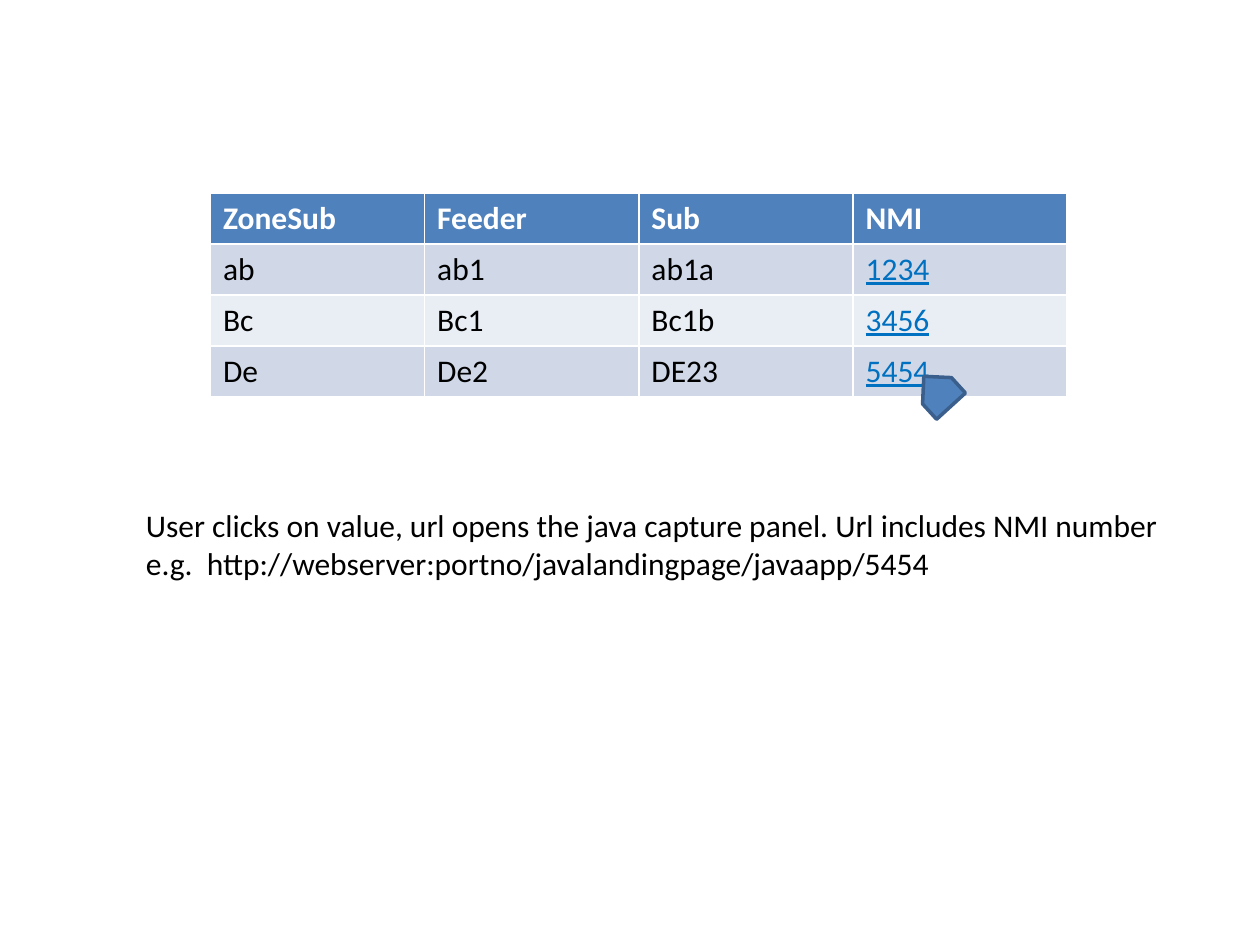
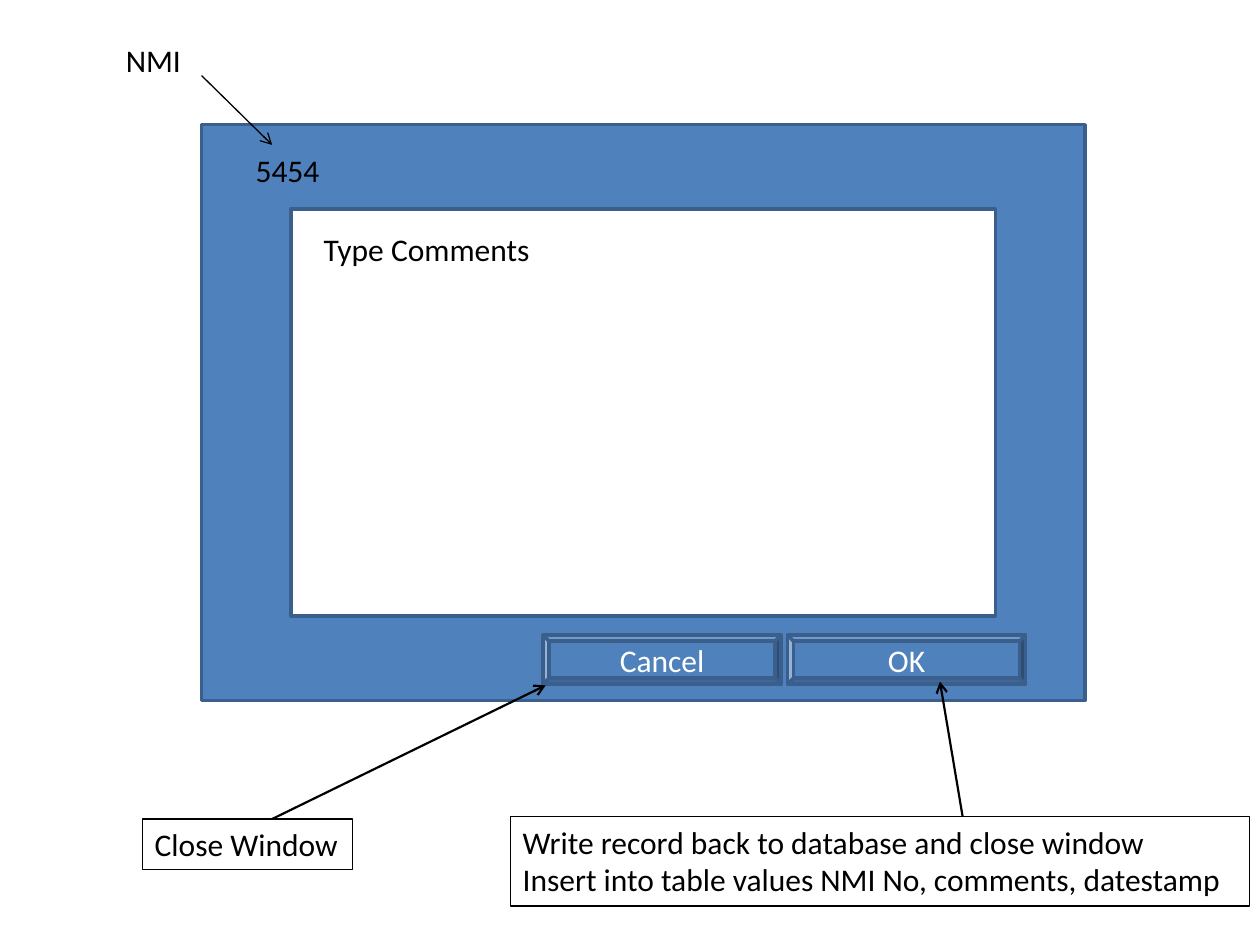
from lxml import etree
from pptx import Presentation
from pptx.dml.color import RGBColor
from pptx.enum.shapes import MSO_CONNECTOR, MSO_SHAPE
from pptx.enum.text import MSO_ANCHOR, MSO_AUTO_SIZE, PP_ALIGN
from pptx.oxml.ns import qn
from pptx.util import Inches, Pt

RECTANGLE, BEVEL, POINTER = MSO_SHAPE.RECTANGLE, MSO_SHAPE.BEVEL, MSO_SHAPE.PENTAGON
STRAIGHT = MSO_CONNECTOR.STRAIGHT
CENTER, MIDDLE = PP_ALIGN.CENTER, MSO_ANCHOR.MIDDLE
FIT_TEXT = MSO_AUTO_SIZE.SHAPE_TO_FIT_TEXT

FONT, SIZE = "Calibri", 18
COLORS = {"blue": "4F81BD", "edge": "3A5F8C", "link": "0070C0", "odd row": "D0D8E8",
          "even row": "E9EDF4", "white": "FFFFFF", "black": "000000"}

METER_ROWS = [
    ("ZoneSub", "Feeder", "Sub", "NMI"),
    ("ab", "ab1", "ab1a", "1234"),
    ("Bc", "Bc1", "Bc1b", "3456"),
    ("De", "De2", "DE23", "5454"),
]
LINK_COLUMN = 3
TABLE_LEFT, TABLE_TOP, COLUMN_WIDTH, ROW_HEIGHT = 1.67, 1.53, 1.7, 0.405

CLICK_NOTE = [
    "User clicks on value, url opens the java capture panel. Url includes NMI number",
    "e.g.  http://webserver:portno/javalandingpage/javaapp/5454",
]
PANEL_LABELS = [  # text, left, top, width, height
    ("Type Comments", 2.47, 1.78, 1.86, 0.4),
    ("5454", 1.93, 1.15, 0.71, 0.4),
    ("NMI", 0.9, 0.28, 0.64, 0.4),
]
BUTTONS = ["Cancel", "OK"]
BUTTON_LEFT, BUTTON_TOP, BUTTON_WIDTH, BUTTON_HEIGHT, BUTTON_GAP = 4.31, 5.04, 1.89, 0.39, 0.05
WRITE_NOTE = [
    "Write record back to database and close window",
    "Insert into table values NMI No, comments, datestamp",
]
ARROWS = [  # start, end, line width
    ((2.16, 6.5), (4.33, 5.44), 1.25),
    ((7.64, 6.48), (7.46, 5.41), 1.25),
    ((1.6, 0.6), (2.16, 1.15), 0.75),
]


def rgb(name):
    return RGBColor.from_string(COLORS[name])


def write(frame, lines, color="black"):
    frame.text = "\n".join(lines)
    for paragraph in frame.paragraphs:
        paragraph.font.name = FONT
        paragraph.font.size = Pt(SIZE)
        paragraph.font.color.rgb = rgb(color)


def add_text(page, lines, left, top, width, height, wrap=False, framed=False):
    box = page.shapes.add_textbox(*map(Inches, (left, top, width, height)))
    write(box.text_frame, lines)
    box.text_frame.word_wrap = wrap
    box.text_frame.auto_size = FIT_TEXT
    if framed:
        box.line.color.rgb = rgb("black")
        box.line.width = Pt(0.75)


def add_block(page, kind, left, top, width, height, fill="blue"):
    block = page.shapes.add_shape(kind, *map(Inches, (left, top, width, height)))
    block.shadow.inherit = False
    block.fill.solid()
    block.fill.fore_color.rgb = rgb(fill)
    block.line.color.rgb = rgb("edge")
    block.line.width = Pt(2)
    return block


def add_arrow(page, start, end, width):
    arrow = page.shapes.add_connector(STRAIGHT, *map(Inches, start + end))
    arrow.line.color.rgb = rgb("black")
    arrow.line.width = Pt(width)
    etree.SubElement(arrow.line._get_or_add_ln(), qn("a:tailEnd"), type="arrow")
    etree.SubElement(arrow._element.spPr, qn("a:effectLst"))


def add_meter_table(page):
    row_count, column_count = len(METER_ROWS), len(METER_ROWS[0])
    table = page.shapes.add_table(
        row_count, column_count, Inches(TABLE_LEFT), Inches(TABLE_TOP),
        Inches(COLUMN_WIDTH * column_count), Inches(ROW_HEIGHT * row_count)).table
    for row, values in enumerate(METER_ROWS):
        header = row == 0
        fill = "blue" if header else "odd row" if row % 2 else "even row"
        for column, value in enumerate(values):
            cell = table.cell(row, column)
            cell.fill.solid()
            cell.fill.fore_color.rgb = rgb(fill)
            link = column == LINK_COLUMN and not header
            write(cell.text_frame, [value], "white" if header else "link" if link else "black")
            font = cell.text_frame.paragraphs[0].font
            font.bold = header
            font.underline = link


def build_table_page(page):
    add_meter_table(page)
    pointer = add_block(page, POINTER, 7.28, 2.95, 0.32, 0.31)
    pointer.rotation = 227.7
    add_text(page, CLICK_NOTE, 1.06, 3.97, 8.33, 0.71)


def build_panel_page(page):
    add_block(page, RECTANGLE, 1.6, 0.99, 7.01, 4.57)
    add_block(page, RECTANGLE, 2.31, 1.66, 5.59, 3.23, "white")
    for index, label in enumerate(BUTTONS):
        left = BUTTON_LEFT + index * (BUTTON_WIDTH + BUTTON_GAP)
        button = add_block(page, BEVEL, left, BUTTON_TOP, BUTTON_WIDTH, BUTTON_HEIGHT)
        write(button.text_frame, [label], "white")
        button.text_frame.vertical_anchor = MIDDLE
        button.text_frame.paragraphs[0].alignment = CENTER
    for label, *place in PANEL_LABELS:
        add_text(page, [label], *place)
    add_text(page, ["Close Window"], 1.13, 6.5, 1.67, 0.4, framed=True)
    add_text(page, WRITE_NOTE, 4.05, 6.48, 5.87, 0.71, wrap=True, framed=True)
    for arrow in ARROWS:
        add_arrow(page, *arrow)


def main():
    deck = Presentation()
    deck.slide_width, deck.slide_height = Inches(10), Inches(7.5)
    blank = deck.slide_layouts[6]
    for build in (build_table_page, build_panel_page):
        build(deck.slides.add_slide(blank))
    deck.save("out.pptx")


if __name__ == "__main__":
    main()
